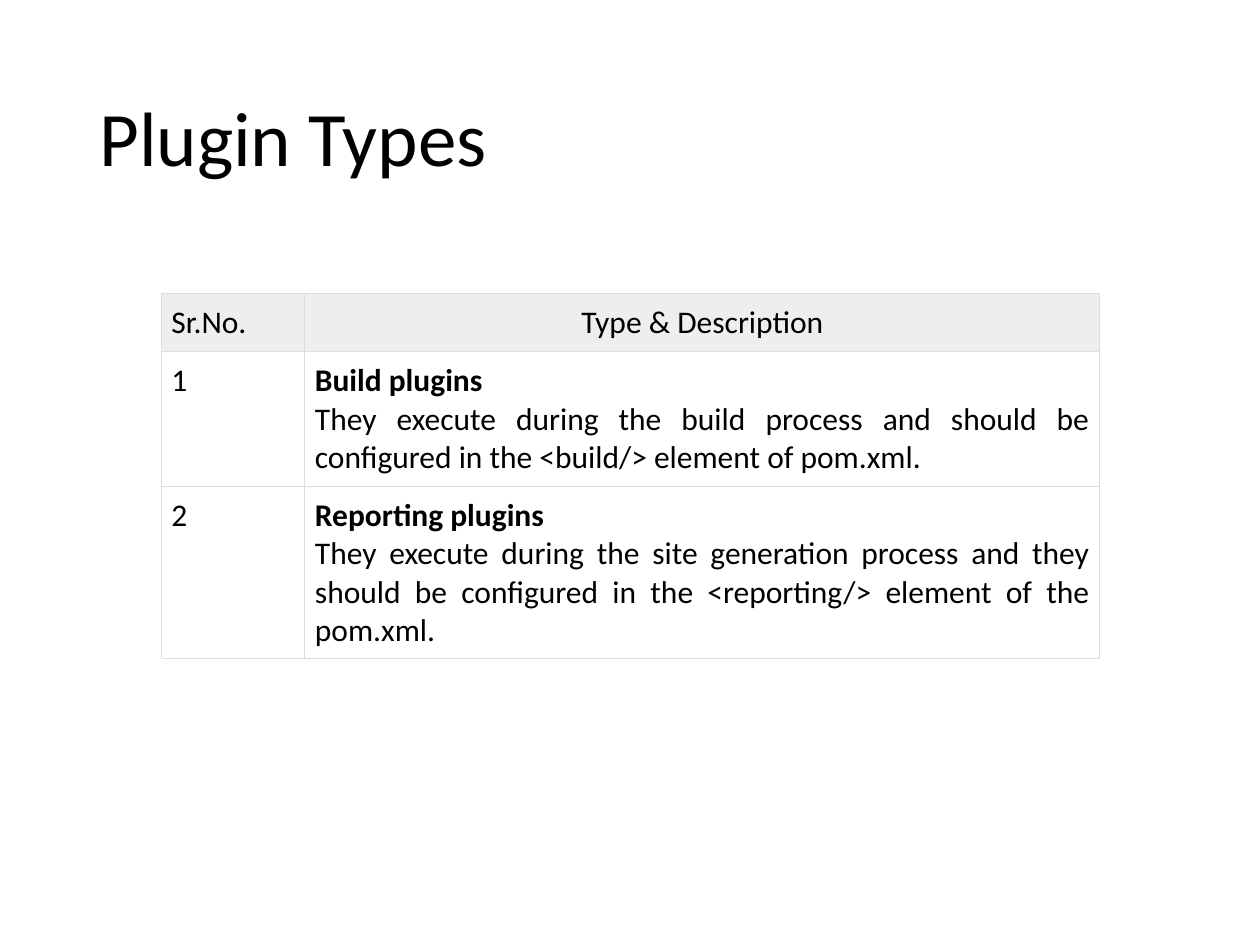
from lxml import etree
from pptx import Presentation
from pptx import util as u
from pptx.dml.color import RGBColor
from pptx.enum import text
from pptx.oxml import ns

BLACK = RGBColor(0x00, 0x00, 0x00)
HEADER_GREY = RGBColor(0xEE, 0xEE, 0xEE)
BORDER_GREY = RGBColor(0xDD, 0xDD, 0xDD)

LEFT, CENTER, JUSTIFY = (
    text.PP_ALIGN.LEFT, text.PP_ALIGN.CENTER, text.PP_ALIGN.JUSTIFY)

COLUMN_WIDTHS = [1.14, 6.31]
ROW_HEIGHTS = [0.46, 1.07, 1.37]
HEADINGS = ["Sr.No.", "Type & Description"]
PLUGINS = [
    ("Build plugins",
     "They execute during the build process and should be configured in "
     "the <build/> element of pom.xml."),
    ("Reporting plugins",
     "They execute during the site generation process and they should be "
     "configured in the <reporting/> element of the pom.xml."),
]


class SlideBuilder:
    font_name = "Calibri"
    body_size = 18
    title_size = 44
    cell_margin = u.Inches(0.08)

    def __init__(self, page):
        self.page = page

    def format_para(self, para, size, align=LEFT, bold=False):
        para.alignment = align
        for span in para.runs:
            span.font.name = self.font_name
            span.font.size = u.Pt(size)
            span.font.bold = bold
            span.font.color.rgb = BLACK

    def title(self, wording, left, top, width, height):
        box = self.page.shapes.add_textbox(
            u.Inches(left), u.Inches(top), u.Inches(width), u.Inches(height))
        frame = box.text_frame
        frame.word_wrap = True
        frame.vertical_anchor = text.MSO_ANCHOR.MIDDLE
        frame.text = wording
        para = frame.paragraphs[0]
        para.line_spacing = 0.9
        self.format_para(para, self.title_size)

    def table(self, left, top, widths, heights):
        """Add an empty table without header or banding styles."""
        frame = self.page.shapes.add_table(
            len(heights), len(widths), u.Inches(left), u.Inches(top),
            u.Inches(sum(widths)), u.Inches(sum(heights)))
        grid = frame.table
        grid.first_row = False
        grid.horz_banding = False
        for column, width in zip(grid.columns, widths):
            column.width = u.Inches(width)
        for row, height in zip(grid.rows, heights):
            row.height = u.Inches(height)
        return grid

    def borders(self, cell):
        properties = cell._tc.get_or_add_tcPr()
        for side in ("a:lnL", "a:lnR", "a:lnT", "a:lnB"):
            line = etree.SubElement(
                properties, ns.qn(side), w=str(u.Pt(0.75)))
            fill = etree.SubElement(line, ns.qn("a:solidFill"))
            etree.SubElement(fill, ns.qn("a:srgbClr"), val=str(BORDER_GREY))

    def cell(self, cell, wording, align=LEFT, fill=None, bold_first=False):
        cell.margin_left = cell.margin_right = self.cell_margin
        cell.margin_top = cell.margin_bottom = self.cell_margin
        self.borders(cell)
        if fill is None:
            cell.fill.background()
        else:
            cell.fill.solid()
            cell.fill.fore_color.rgb = fill
        cell.text_frame.text = wording
        for index, para in enumerate(cell.text_frame.paragraphs):
            self.format_para(
                para, self.body_size, align, bold_first and index == 0)


def main():
    deck = Presentation()
    deck.slide_width, deck.slide_height = u.Inches(10), u.Inches(7.5)
    builder = SlideBuilder(deck.slides.add_slide(deck.slide_layouts[6]))

    builder.title("Plugin Types", 0.69, 0.4, 8.62, 1.45)

    grid = builder.table(1.28, 2.33, COLUMN_WIDTHS, ROW_HEIGHTS)
    for column, (heading, align) in enumerate(zip(HEADINGS, (LEFT, CENTER))):
        builder.cell(grid.cell(0, column), heading, align, HEADER_GREY)
    for number, (name, description) in enumerate(PLUGINS, start=1):
        builder.cell(grid.cell(number, 0), str(number))
        builder.cell(grid.cell(number, 1), f"{name}\n{description}",
                     JUSTIFY, bold_first=True)

    deck.save("out.pptx")


if __name__ == "__main__":
    main()
